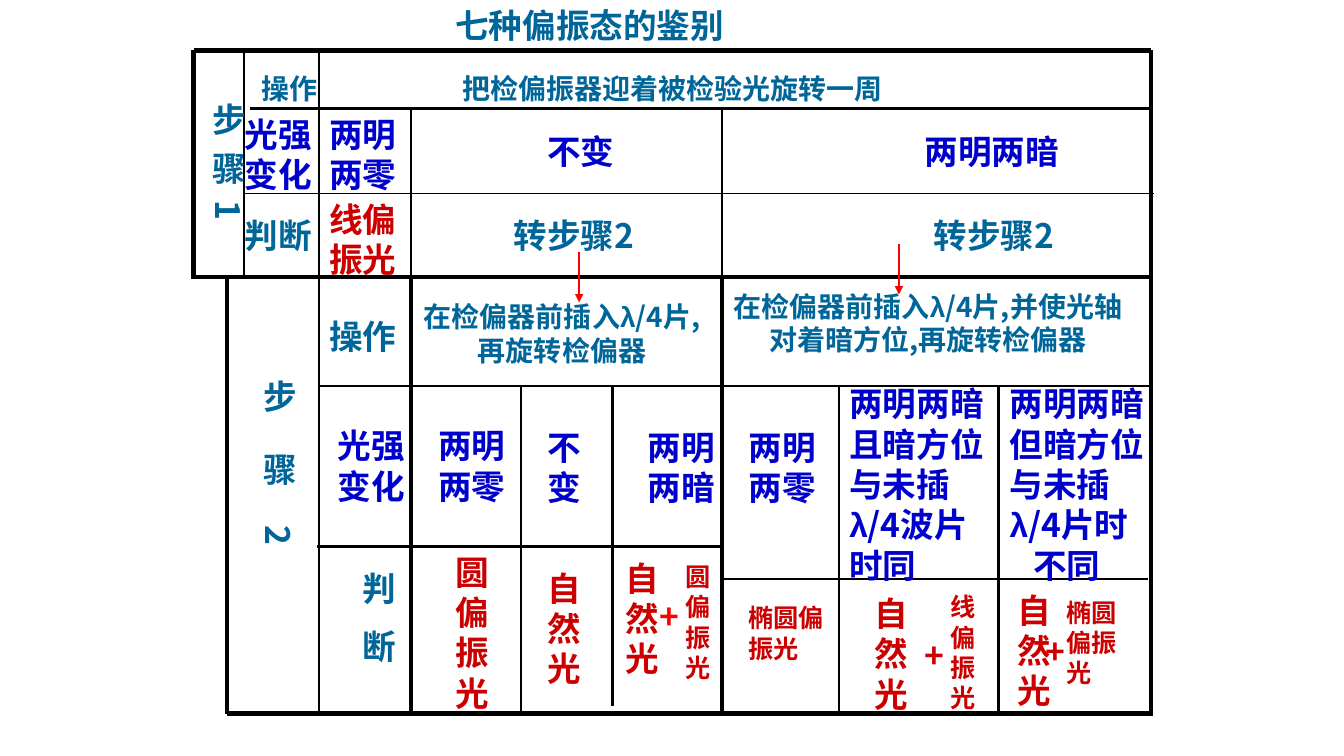
import pptx
import pptx.dml.color
import pptx.enum.shapes
import pptx.enum.text
import pptx.oxml.ns
import pptx.util
from lxml import etree

Cm = pptx.util.Cm
Pt = pptx.util.Pt
qn = pptx.oxml.ns.qn

TEAL = pptx.dml.color.RGBColor(0x00, 0x66, 0x99)
BLUE = pptx.dml.color.RGBColor(0x00, 0x00, 0xCC)
CRIMSON = pptx.dml.color.RGBColor(0xCC, 0x00, 0x00)
RED = pptx.dml.color.RGBColor(0xFF, 0x00, 0x00)
BLACK = pptx.dml.color.RGBColor(0x00, 0x00, 0x00)

CJK_FONT = "Noto Sans CJK SC"
GREEK_FONT = "Arial"
OPERATION_FONT = "Times New Roman"
LINE_FACTOR = 1.2
INSET_WIDE, INSET_NARROW = Cm(0.25), Cm(0.13)

# Rulings of the table, in centimetres: (fixed position, from, to, width in points)
HORIZONTAL_RULES = [
    (1.27, 4.88, 29.01, 3), (2.74, 6.3, 28.96, 2.25), (4.88, 6.15, 29.08, 0.75),
    (6.98, 4.88, 29.01, 3), (9.73, 8.05, 29.01, 1.5), (13.77, 8, 18.21, 1.5),
    (14.6, 18.21, 28.93, 1.5), (17.98, 5.72, 29.06, 3),
]
VERTICAL_RULES = [
    (4.88, 1.27, 7.04, 3), (6.15, 1.27, 6.98, 1.5), (8.05, 1.27, 17.98, 1.5),
    (10.36, 2.74, 6.98, 1.5), (10.36, 6.98, 17.98, 2.25), (18.21, 2.74, 6.98, 1.5),
    (18.21, 6.98, 17.98, 3), (5.72, 6.98, 17.98, 3), (13.13, 9.73, 17.98, 1.5),
    (15.44, 9.73, 17.78, 1.5), (21.16, 9.73, 17.98, 1.5), (25.17, 9.73, 18.03, 1.5),
    (29.01, 1.27, 17.98, 3),
]

# Cells: text, left, top, width (cm), number of lines
INTENSITY_CELLS = [
    ("光强变化", 5.92, 2.74, 2.54, 2), ("两明两零", 8.05, 2.74, 2.54, 2),
    ("不变", 13.54, 3.18, 3.18, 1), ("两明两暗", 23.06, 3.18, 4.65, 1),
    ("光强变化", 8.26, 10.59, 2.54, 2), ("两明两零", 10.8, 10.59, 2.54, 2),
    ("不变", 13.54, 10.62, 1.27, 2), ("两明两暗", 16.08, 10.62, 2.54, 2),
    ("两明两零", 18.62, 10.62, 2.74, 2),
    ("两明两暗且暗方位与未插λ/4波片时同", 21.16, 9.53, 4.01, 5),
]
JUDGEMENT_CELLS = [
    ("线偏振光", 8.05, 4.88, 2.54, 2), ("圆偏振光", 11.23, 13.77, 2.11, 4),
    ("自然光", 13.54, 14.17, 1.47, 3),
]
STEP_CELLS = [
    ("判断", 5.92, 5.28, 2.74, 1), ("转步骤2", 12.7, 5.28, 4.65, 1),
    ("转步骤2", 23.29, 5.28, 4.65, 1),
]


def style_run(run, size, color, font):
    run.font.size = Pt(size)
    run.font.bold = True
    run.font.color.rgb = color
    run.font.name = font
    east_asian = etree.SubElement(run.font._element, qn("a:ea"))
    east_asian.set("typeface", CJK_FONT)


def fill_frame(frame, paragraphs, size, color, font=CJK_FONT, align=None):
    """Write the paragraphs, setting each λ in the Greek font."""
    frame.word_wrap = True
    frame.auto_size = pptx.enum.text.MSO_AUTO_SIZE.NONE
    frame.vertical_anchor = pptx.enum.text.MSO_ANCHOR.TOP
    frame.margin_left = frame.margin_right = INSET_WIDE
    frame.margin_top = frame.margin_bottom = INSET_NARROW
    frame.text = "\n".join(paragraphs)
    for paragraph, text in zip(frame.paragraphs, paragraphs):
        paragraph.alignment = align or pptx.enum.text.PP_ALIGN.LEFT
        paragraph.line_spacing = Pt(size * LINE_FACTOR)
        paragraph.space_before = Pt(0)
        before, greek, after = text.partition("λ")
        paragraph.text = before
        style_run(paragraph.runs[0], size, color, font)
        for part, part_font in ((greek, GREEK_FONT), (after, font)):
            if part:
                run = paragraph.add_run()
                run.text = part
                style_run(run, size, color, part_font)


def add_cell(shapes, text, left, top, width, lines, color, size=24, **style):
    """Add a text box whose height follows from its number of lines."""
    height = Pt(lines * size * LINE_FACTOR) + 2 * INSET_NARROW
    box = shapes.add_textbox(Cm(left), Cm(top), Cm(width), height)
    fill_frame(box.text_frame, text.split("\n"), size, color, **style)
    return box


def add_column_label(shapes, text, left, top, height, gap):
    """Add a vertical label with gap points between its characters."""
    box = shapes.add_textbox(Cm(left), Cm(top), Cm(1.52), Cm(height))
    frame = box.text_frame
    fill_frame(frame, [text[:-1]], 24, TEAL, align=pptx.enum.text.PP_ALIGN.CENTER)
    frame.margin_left = frame.margin_right = INSET_NARROW
    frame.margin_top = frame.margin_bottom = INSET_WIDE
    frame._txBody.bodyPr.set("vert", "eaVert")
    paragraph = frame.paragraphs[0]
    paragraph.runs[0].font._element.set("spc", str(gap * 100))
    last = paragraph.add_run()
    last.text = text[-1]
    style_run(last, 24, TEAL, CJK_FONT)


def add_rule(shapes, x1, y1, x2, y2, width, color=BLACK):
    rule = shapes.add_connector(
        pptx.enum.shapes.MSO_CONNECTOR.STRAIGHT, Cm(x1), Cm(y1), Cm(x2), Cm(y2))
    rule.line.width = Pt(width)
    rule.line.color.rgb = color
    etree.SubElement(rule._element.spPr, qn("a:effectLst"))
    return rule


def add_down_arrow(shapes, x, top):
    arrow = add_rule(shapes, x, top, x, top + 1.27, 1.5, RED)
    head = etree.SubElement(arrow.line._get_or_add_ln(), qn("a:tailEnd"))
    head.set("type", "triangle")


def add_mixture(shapes, natural, plus, polarized, plus_color=CRIMSON):
    """Group natural light, a plus sign and a polarized component."""
    members = shapes.add_group_shape().shapes
    add_cell(members, "自然光", *natural, 3, CRIMSON)
    add_cell(members, "+", *plus, 1, plus_color)
    add_cell(members, *polarized, CRIMSON, size=18)


def add_title(slide):
    title = slide.shapes.title
    title.left, title.top, title.width, title.height = Cm(11.23), Cm(0), Cm(7.72), Cm(1.27)
    fill_frame(title.text_frame, ["七种偏振态的鉴别"], 24, TEAL)


def add_operations(shapes):
    center = pptx.enum.text.PP_ALIGN.CENTER
    add_cell(shapes, "操作", 6.35, 1.68, 2, 1, TEAL, size=20, font=OPERATION_FONT)
    add_cell(shapes, "把检偏振器迎着被检验光旋转一周", 11.4, 1.68, 11.7, 1, TEAL, size=20)
    add_cell(shapes, "操作", 8.05, 7.82, 2.97, 1, TEAL, font=OPERATION_FONT)
    add_cell(shapes, "在检偏器前插入λ/4片,再旋转检偏器",
             10.36, 7.42, 7.62, 2, TEAL, size=20, align=center)
    add_cell(shapes, "在检偏器前插入λ/4片,并使光轴对着暗方位,再旋转检偏器",
             18.21, 7.16, 10.36, 2, TEAL, size=20, align=center)


def main():
    presentation = pptx.Presentation()
    presentation.slide_width, presentation.slide_height = Cm(33.88), Cm(19.05)
    slide = presentation.slides.add_slide(presentation.slide_layouts[5])
    shapes = slide.shapes

    add_title(slide)
    for y, left, right, width in HORIZONTAL_RULES:
        add_rule(shapes, left, y, right, y, width)
    for x, top, bottom, width in VERTICAL_RULES:
        add_rule(shapes, x, top, x, bottom, width)

    add_column_label(shapes, "步骤1", 4.88, 2.34, 5.51, 11)
    add_column_label(shapes, "步骤2", 6.15, 9.32, 6.98, 28)
    add_column_label(shapes, "判断", 8.64, 14.17, 3.81, 17)
    add_operations(shapes)

    for cells, color in ((INTENSITY_CELLS, BLUE), (JUDGEMENT_CELLS, CRIMSON), (STEP_CELLS, TEAL)):
        for cell in cells:
            add_cell(shapes, *cell, color)
    different = add_cell(shapes, "两明两暗但暗方位与未插λ/4片时\n不同", 25.2, 9.53, 4.01, 5, BLUE)
    different.text_frame.paragraphs[1]._p.get_or_add_pPr().set("marL", str(Cm(0.6)))
    add_cell(shapes, "椭圆偏振光", 18.62, 15.06, 2.54, 2, CRIMSON, size=18)

    add_mixture(shapes, (15.52, 13.92, 1.9), (16.38, 14.88, 1.07),
                ("圆偏振光", 17.02, 14.02, 1.47, 4), RED)
    add_mixture(shapes, (21.79, 14.81, 1.27), (23.06, 15.88, 1.07),
                ("线偏振光", 23.7, 14.78, 1.27, 4))
    add_mixture(shapes, (25.4, 14.73, 1.07), (26.11, 15.77, 0.89),
                ("椭圆偏振光", 26.64, 14.91, 2.31, 3))

    add_down_arrow(shapes, 14.6, 6.35)
    add_down_arrow(shapes, 22.66, 6.15)
    presentation.save("out.pptx")


if __name__ == "__main__":
    main()
